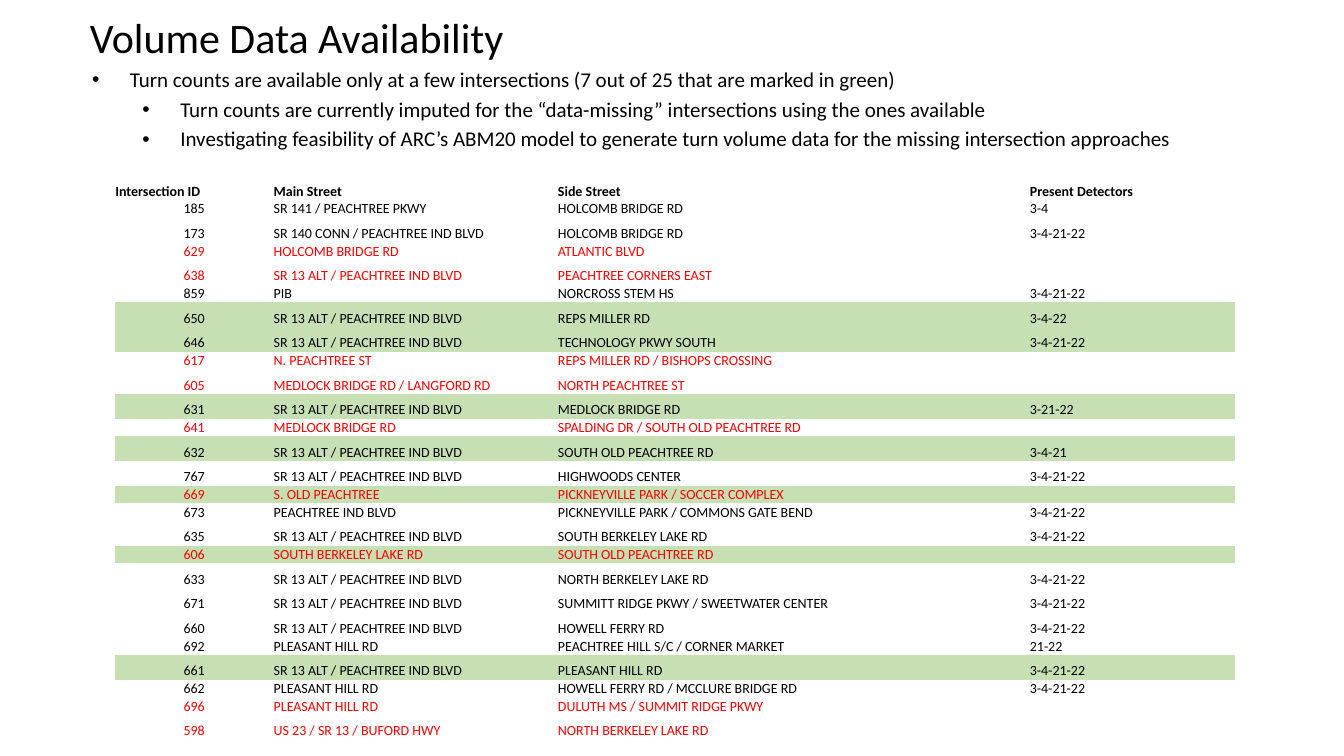
from typing import Any, NamedTuple

from lxml import etree
from pptx import Presentation
from pptx import util as u
from pptx.dml.color import RGBColor
from pptx.enum import text
from pptx.oxml import ns

EMU_PER_PX = 4572  # 200 px to the inch
BLACK = RGBColor(0x00, 0x00, 0x00)
RED = RGBColor(0xFF, 0x00, 0x00)
GREEN = RGBColor(0xC6, 0xE0, 0xB4)
FONT = "Calibri"
NO_GRID_STYLE = "{2D5ABB26-0587-4C30-8999-92F81FD0307C}"

COLUMN_WIDTHS = (314, 564, 936, 408)
SHORT_ROW, TALL_ROW = 35, 49
LONGEST_SHORT_NAME = 24  # longer main street names get a tall row
HEADINGS = ("Intersection ID", "Main Street", "Side Street", "Present Detectors")
SR_13 = "SR 13 ALT / PEACHTREE IND BLVD"
ALL_DETECTORS = "3-4-21-22"


class Bullet(NamedTuple):
    wording: str
    level: int


class Intersection(NamedTuple):
    number: str
    main_street: str
    side_street: str
    detectors: str = ""
    has_turn_counts: bool = False


BULLETS = (
    Bullet("Turn counts are available only at a few intersections "
           "(7 out of 25 that are marked in green)", 0),
    Bullet("Turn counts are currently imputed for the “data-missing” "
           "intersections using the ones available", 1),
    Bullet("Investigating feasibility of ARC’s ABM20 model to generate turn volume "
           "data for the missing intersection approaches", 1),
)

INTERSECTIONS = (
    Intersection("185", "SR 141 / PEACHTREE PKWY", "HOLCOMB BRIDGE RD", "3-4"),
    Intersection("173", "SR 140 CONN / PEACHTREE IND BLVD", "HOLCOMB BRIDGE RD", ALL_DETECTORS),
    Intersection("629", "HOLCOMB BRIDGE RD", "ATLANTIC BLVD"),
    Intersection("638", SR_13, "PEACHTREE CORNERS EAST"),
    Intersection("859", "PIB", "NORCROSS STEM HS", ALL_DETECTORS),
    Intersection("650", SR_13, "REPS MILLER RD", "3-4-22", True),
    Intersection("646", SR_13, "TECHNOLOGY PKWY SOUTH", ALL_DETECTORS, True),
    Intersection("617", "N. PEACHTREE ST", "REPS MILLER RD / BISHOPS CROSSING"),
    Intersection("605", "MEDLOCK BRIDGE RD / LANGFORD RD", "NORTH PEACHTREE ST"),
    Intersection("631", SR_13, "MEDLOCK BRIDGE RD", "3-21-22", True),
    Intersection("641", "MEDLOCK BRIDGE RD", "SPALDING DR / SOUTH OLD PEACHTREE RD"),
    Intersection("632", SR_13, "SOUTH OLD PEACHTREE RD", "3-4-21", True),
    Intersection("767", SR_13, "HIGHWOODS CENTER", ALL_DETECTORS),
    Intersection("669", "S. OLD PEACHTREE", "PICKNEYVILLE PARK / SOCCER COMPLEX", "", True),
    Intersection("673", "PEACHTREE IND BLVD", "PICKNEYVILLE PARK / COMMONS GATE BEND",
                 ALL_DETECTORS),
    Intersection("635", SR_13, "SOUTH BERKELEY LAKE RD", ALL_DETECTORS),
    Intersection("606", "SOUTH BERKELEY LAKE RD", "SOUTH OLD PEACHTREE RD", "", True),
    Intersection("633", SR_13, "NORTH BERKELEY LAKE RD", ALL_DETECTORS),
    Intersection("671", SR_13, "SUMMITT RIDGE PKWY / SWEETWATER CENTER", ALL_DETECTORS),
    Intersection("660", SR_13, "HOWELL FERRY RD", ALL_DETECTORS),
    Intersection("692", "PLEASANT HILL RD", "PEACHTREE HILL S/C / CORNER MARKET", "21-22"),
    Intersection("661", SR_13, "PLEASANT HILL RD", ALL_DETECTORS, True),
    Intersection("662", "PLEASANT HILL RD", "HOWELL FERRY RD / MCCLURE BRIDGE RD",
                 ALL_DETECTORS),
    Intersection("696", "PLEASANT HILL RD", "DULUTH MS / SUMMIT RIDGE PKWY"),
    Intersection("598", "US 23 / SR 13 / BUFORD HWY", "NORTH BERKELEY LAKE RD"),
)


def px(length: int) -> u.Emu:
    return u.Emu(length * EMU_PER_PX)


def set_attributes(target: Any, values: dict[str, Any]) -> None:
    for name, value in values.items():
        setattr(target, name, value)


def write(paragraph: Any, wording: str, size: int, color: RGBColor = BLACK,
          bold: bool = False) -> None:
    run = paragraph.add_run()
    run.text = wording
    set_attributes(run.font, {"name": FONT, "size": u.Pt(size), "bold": bold})
    run.font.color.rgb = color


def add_title(slide: Any) -> None:
    title = slide.shapes.title
    set_attributes(title, {"left": px(158), "top": px(0), "width": px(2410), "height": px(158)})
    set_attributes(title.text_frame, {"vertical_anchor": text.MSO_ANCHOR.MIDDLE,
                                      "auto_size": text.MSO_AUTO_SIZE.NONE})
    paragraph = title.text_frame.paragraphs[0]
    set_attributes(paragraph, {"alignment": text.PP_ALIGN.LEFT, "line_spacing": 0.9})
    write(paragraph, "Volume Data Availability", 30)


def add_bullets(slide: Any) -> None:
    frame = slide.shapes.add_textbox(px(138), px(128), px(2300), px(460)).text_frame
    frame.word_wrap = True
    for index, bullet in enumerate(BULLETS):
        paragraph = frame.add_paragraph() if index else frame.paragraphs[0]
        set_attributes(paragraph, {"level": bullet.level, "line_spacing": 0.9,
                                   "space_before": u.Pt(5 if index else 0)})
        properties = paragraph._p.get_or_add_pPr()
        properties.set("marL", str(px(100 * (bullet.level + 1))))
        properties.set("indent", str(px(-75)))
        etree.SubElement(properties, ns.qn("a:buFont"), typeface="Arial")
        etree.SubElement(properties, ns.qn("a:buChar"), char="•")
        write(paragraph, bullet.wording, 15)


def fill_row(row: Any, wordings: tuple[str, ...], color: RGBColor = BLACK,
             heading: bool = False, marked: bool = False) -> None:
    for column, (cell, wording) in enumerate(zip(row.cells, wordings)):
        set_attributes(cell, {"margin_left": px(1), "margin_top": px(1), "margin_right": px(1),
                              "margin_bottom": px(0),
                              "vertical_anchor": text.MSO_ANCHOR.BOTTOM})
        if marked:
            cell.fill.solid()
            cell.fill.fore_color.rgb = GREEN
        else:
            cell.fill.background()
        paragraph = cell.text_frame.paragraphs[0]
        if column == 0 and not heading:
            paragraph.alignment = text.PP_ALIGN.CENTER
        if wording:
            write(paragraph, wording, 10, color, heading)
        else:  # keeps an empty cell as low as its row
            etree.SubElement(paragraph._p, ns.qn("a:endParaRPr"), sz="1000")


def add_intersection_table(slide: Any) -> None:
    heights = [SHORT_ROW] + [
        TALL_ROW if len(item.main_street) > LONGEST_SHORT_NAME else SHORT_ROW
        for item in INTERSECTIONS]
    table = slide.shapes.add_table(len(heights), len(COLUMN_WIDTHS), px(228), px(362),
                                   px(sum(COLUMN_WIDTHS)), px(sum(heights))).table
    set_attributes(table, {"first_row": False, "horz_banding": False})
    table._tbl.tblPr.find(ns.qn("a:tableStyleId")).text = NO_GRID_STYLE
    for column, width in zip(table.columns, COLUMN_WIDTHS):
        column.width = px(width)
    for row, height in zip(table.rows, heights):
        row.height = px(height)

    rows = list(table.rows)
    fill_row(rows[0], HEADINGS, heading=True)
    for row, item in zip(rows[1:], INTERSECTIONS):
        fill_row(row, item[:4], BLACK if item.detectors else RED, marked=item.has_turn_counts)


def main() -> None:
    presentation = Presentation()
    set_attributes(presentation, {"slide_width": px(2666), "slide_height": px(1500)})
    slide = presentation.slides.add_slide(presentation.slide_layouts[5])
    add_title(slide)
    add_bullets(slide)
    add_intersection_table(slide)
    presentation.save("out.pptx")


if __name__ == "__main__":
    main()
